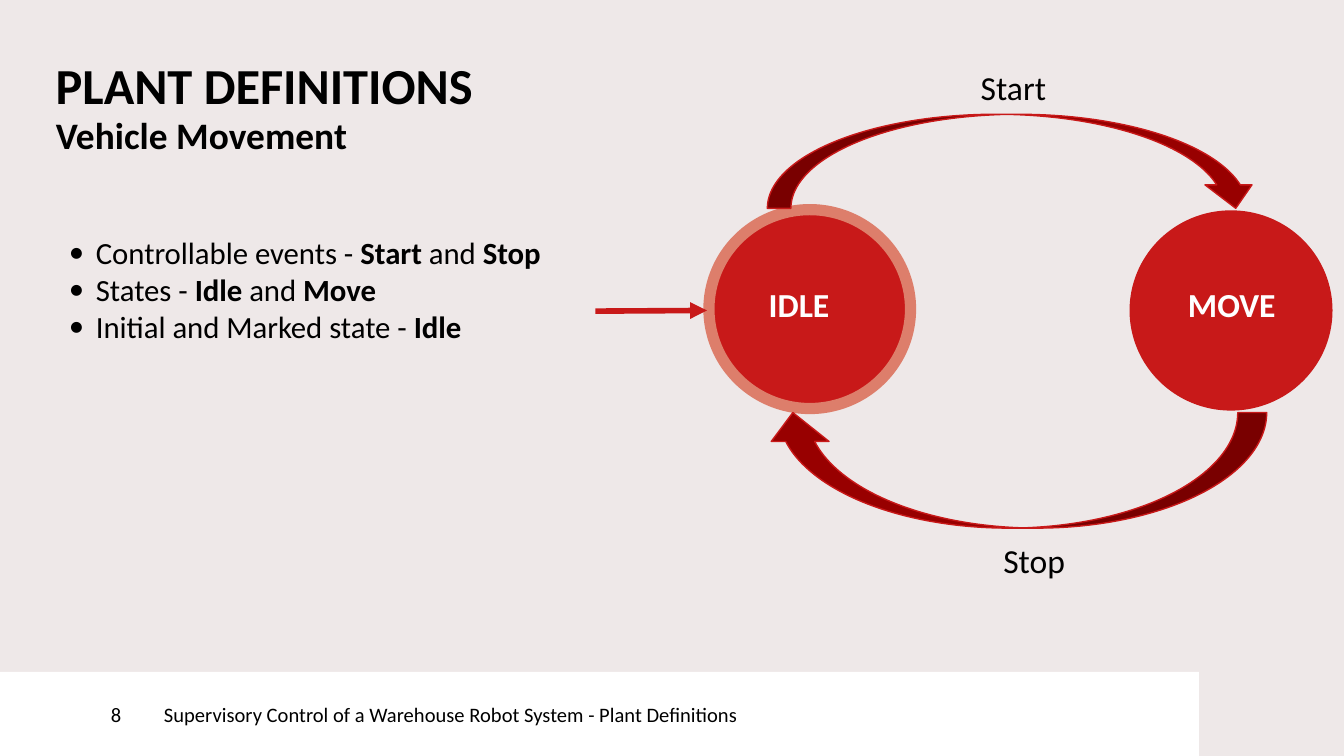
from typing import NamedTuple

import pptx
import pptx.dml.color
import pptx.enum.shapes
import pptx.enum.text
import pptx.oxml
import pptx.oxml.ns
import pptx.util
from lxml import etree

PX = 4572  # EMU per px, 200 px to the inch
FONT = "Calibri"
BLACK, WHITE, RED, DARK_RED, PINK = "000000", "FFFFFF", "C81919", "980000", "DD7E6B"
BACKGROUND = "EEE8E8"
SHAPE = pptx.enum.shapes.MSO_SHAPE
ALIGN = pptx.enum.text.PP_ALIGN
ANCHOR = pptx.enum.text.MSO_ANCHOR


class Box(NamedTuple):
    left: int
    top: int
    width: int
    height: int


class Label(NamedTuple):
    text: str
    box: Box
    size: float
    bold: bool = False
    color: str = BLACK
    align: ALIGN = ALIGN.LEFT


class Figure(NamedTuple):
    kind: SHAPE
    box: Box
    fill: str
    line: str | None = None
    weight: float = 0.75
    rotation: int = 0
    flipped: bool = False


class Span(NamedTuple):
    text: str
    bold: bool = False


LABELS = [
    Label("PLANT DEFINITIONS", Box(83, 80, 1652, 118), 27, True),
    Label("Vehicle Movement", Box(83, 167, 456, 140), 20, True),
    Label("Start", Box(1409, 100, 198, 78), 18, align=ALIGN.CENTER),
    Label("Stop", Box(1440, 804, 198, 78), 18, align=ALIGN.CENTER),
    Label("IDLE", Box(1090, 422, 198, 78), 18, True, WHITE, ALIGN.CENTER),
    Label("MOVE", Box(1734, 422, 198, 78), 18, True, WHITE, ALIGN.CENTER),
]
STATES_AND_TRANSITIONS = [
    Figure(SHAPE.OVAL, Box(1055, 312, 300, 296), RED, PINK, 6),
    Figure(SHAPE.OVAL, Box(1682, 314, 300, 296), RED, RED),
    Figure(SHAPE.CURVED_UP_ARROW, Box(1137, 614, 748, 172), DARK_RED, RED, flipped=True),
    Figure(SHAPE.CURVED_UP_ARROW, Box(1142, 170, 732, 140), DARK_RED, RED, rotation=180, flipped=True),
]
BULLETS = [
    [Span("Controllable events - "), Span("Start ", True), Span("and "), Span("Stop", True)],
    [Span("States - "), Span("Idle ", True), Span("and "), Span("Move", True)],
    [Span("Initial and Marked state - "), Span("Idle", True)],
]


def px(length: int) -> pptx.util.Emu:
    return pptx.util.Emu(length * PX)


def rgb(color: str) -> pptx.dml.color.RGBColor:
    return pptx.dml.color.RGBColor.from_string(color)


def set_font(font, size: float, color: str = BLACK, bold: bool = False) -> None:
    font.name = FONT
    font.size = pptx.util.Pt(size)
    font.bold = bold
    font.color.rgb = rgb(color)


def set_frame(frame, left: int = 0, other: int = 0, anchor: ANCHOR = ANCHOR.TOP) -> None:
    frame.word_wrap = True
    frame.vertical_anchor = anchor
    frame.margin_left = px(left)
    frame.margin_top = frame.margin_right = frame.margin_bottom = px(other)


def add_label(page, label: Label) -> None:
    frame = page.shapes.add_textbox(*map(px, label.box)).text_frame
    set_frame(frame)
    para = frame.paragraphs[0]
    para.text = label.text
    para.alignment = label.align
    set_font(para.font, label.size, label.color, label.bold)


def add_figure(page, figure: Figure):
    shape = page.shapes.add_shape(figure.kind, *map(px, figure.box))
    shape.shadow.inherit = False
    shape.fill.solid()
    shape.fill.fore_color.rgb = rgb(figure.fill)
    if figure.line:
        shape.line.color.rgb = rgb(figure.line)
        shape.line.width = pptx.util.Pt(figure.weight)
    else:
        shape.line.fill.background()
    shape.rotation = figure.rotation
    if figure.flipped:
        shape.element.spPr.find(pptx.oxml.ns.qn("a:xfrm")).set("flipH", "1")
    return shape


def add_footer_cell(page, box: Box, text: str, indent: int = 0) -> None:
    frame = add_figure(page, Figure(SHAPE.RECTANGLE, box, WHITE)).text_frame
    set_frame(frame, left=indent, anchor=ANCHOR.MIDDLE)
    para = frame.paragraphs[0]
    para.text = text
    para.alignment = ALIGN.LEFT
    set_font(para.font, 11)


def add_bullets(page, box: Box, lines: list[list[Span]]) -> None:
    frame = page.shapes.add_textbox(*map(px, box)).text_frame
    set_frame(frame, left=20, other=20)
    for index, spans in enumerate(lines):
        para = frame.add_paragraph() if index else frame.paragraphs[0]
        set_font(para.font, 16.5)
        for span in spans:
            run = para.add_run()
            run.text = span.text
            set_font(run.font, 16.5, bold=span.bold)
        properties = para._p.get_or_add_pPr()
        properties.set("marL", str(px(40)))
        properties.set("indent", str(px(-40)))
        defaults = properties.find(pptx.oxml.ns.qn("a:defRPr"))
        for tag, attribute in (("buFont", f'typeface="{FONT}"'), ("buChar", 'char="•"')):
            defaults.addprevious(pptx.oxml.parse_xml(
                f'<a:{tag} {pptx.oxml.ns.nsdecls("a")} {attribute}/>'))


def add_arrow(page, start: tuple[int, int], end: tuple[int, int]) -> None:
    arrow = page.shapes.add_connector(
        pptx.enum.shapes.MSO_CONNECTOR.STRAIGHT, *map(px, start + end))
    arrow.line.color.rgb = rgb(RED)
    arrow.line.width = pptx.util.Pt(3)
    qn = pptx.oxml.ns.qn
    etree.SubElement(arrow.line._get_or_add_ln(), qn("a:tailEnd"), type="triangle")
    etree.SubElement(arrow._element.spPr, qn("a:effectLst"))


def main() -> None:
    deck = pptx.Presentation()
    deck.slide_width, deck.slide_height = px(2000), px(1125)
    page = deck.slides.add_slide(deck.slide_layouts[6])
    page.background.fill.solid()
    page.background.fill.fore_color.rgb = rgb(BACKGROUND)

    for figure in STATES_AND_TRANSITIONS:
        add_figure(page, figure)
    for label in LABELS:
        add_label(page, label)
    add_bullets(page, Box(83, 328, 898, 656), BULLETS)
    add_arrow(page, (886, 463), (1052, 462))
    add_footer_cell(page, Box(0, 1000, 244, 125), "8", indent=165)
    add_footer_cell(page, Box(244, 1000, 1540, 125),
                    "Supervisory Control of a Warehouse Robot System - Plant Definitions")
    deck.save("out.pptx")


if __name__ == "__main__":
    main()
